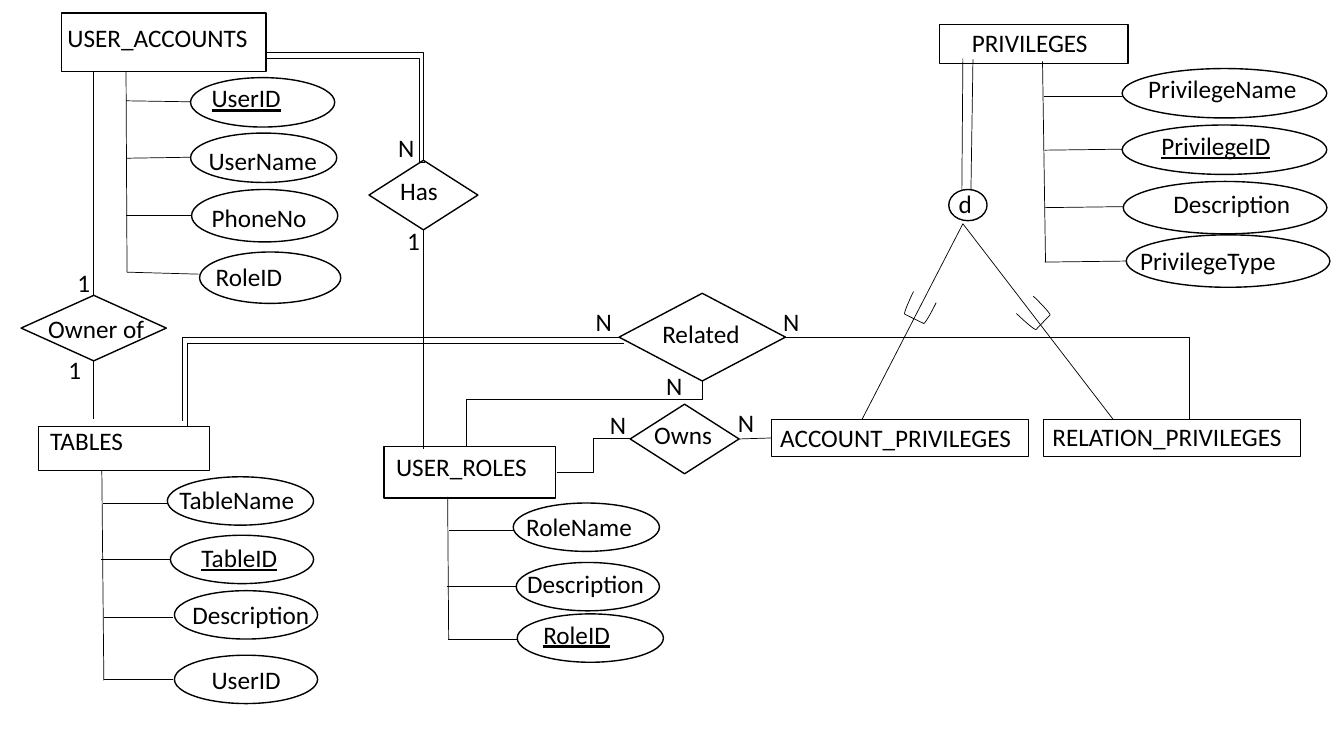
from dataclasses import dataclass
from lxml.etree import SubElement
from pptx import Presentation
from pptx.dml.color import RGBColor
from pptx.enum.shapes import MSO_CONNECTOR as Connector, MSO_SHAPE as Preset
from pptx.enum.text import MSO_AUTO_SIZE as AutoSize
from pptx.oxml.ns import qn
from pptx.util import Inches, Pt


@dataclass(frozen=True)
class Theme:
    ink: RGBColor = RGBColor(0, 0, 0)
    paper: RGBColor = RGBColor(255, 255, 255)
    font: str = "Calibri"
    text_size: float = 18
    outline: float = 1
    thin: float = 0.5
    label_height: float = 0.4


class Diagram:
    def __init__(self, slide, theme):
        self.slide = slide
        self.theme = theme

    def stroke(self, item, width):
        item.line.color.rgb = self.theme.ink
        item.line.width = Pt(width)

    def node(self, preset, box):
        shape = self.slide.shapes.add_shape(preset, *map(Inches, box))
        shape.shadow.inherit = False
        shape.fill.solid()
        shape.fill.fore_color.rgb = self.theme.paper
        self.stroke(shape, self.theme.outline)
        return shape

    def bracket(self, box, rotation):
        shape = self.node(Preset.LEFT_BRACKET, box)
        shape.fill.background()
        shape.rotation = rotation
        self.stroke(shape, self.theme.thin)

    def label(self, text, left, top, width, underlined=False, wrap=True):
        box = map(Inches, (left, top, width, self.theme.label_height))
        frame = self.slide.shapes.add_textbox(*box).text_frame
        frame.word_wrap = wrap
        frame.auto_size = AutoSize.SHAPE_TO_FIT_TEXT
        frame.text = text
        font = frame.paragraphs[0].runs[0].font
        font.name = self.theme.font
        font.size = Pt(self.theme.text_size)
        font.color.rgb = self.theme.ink
        if underlined:
            font.underline = True

    def line(self, start, end, kind=Connector.STRAIGHT, begin=None, finish=None):
        connector = self.slide.shapes.add_connector(
            kind, *map(Inches, (*start, *end)))
        self.stroke(connector, self.theme.thin)
        SubElement(connector._element.spPr, qn("a:effectLst"))
        if begin:
            connector.begin_connect(*begin)
        if finish:
            connector.end_connect(*finish)
        return connector

    def elbow(self, start, end, bend=0.5, upright=False):
        if upright:
            middle_x, middle_y = [(a + b) / 2 for a, b in zip(start, end)]
            start, end = [(middle_x + y - middle_y, middle_y - x + middle_x)
                          for x, y in (start, end)]
        properties = self.line(start, end, Connector.ELBOW)._element.spPr
        if upright:
            properties.find(qn("a:xfrm")).set("rot", "5400000")
        guides = properties.find(qn("a:prstGeom")).find(qn("a:avLst"))
        SubElement(guides, qn("a:gd"), name="adj1", fmla=f"val {round(bend * 100000)}")

    def named_node(self, preset, box, text, label_place):
        shape = self.node(preset, box)
        self.label(text, *label_place)
        return shape

    def attributes(self, trunk, rows):
        self.line(*trunk)
        for text, box, label_place, stem_start, stem_end, is_key in rows:
            self.line(stem_start, stem_end)
            self.node(Preset.OVAL, box)
            self.label(text, *label_place, underlined=is_key)


ENTITIES = [
    ("USER_ACCOUNTS", (0.61, 0.13, 2.03, 0.58), (0.57, 0.17, 2.06)),
    ("TABLES", (0.38, 4.23, 1.7, 0.44), (0.4, 4.17, 1.7)),
    ("USER_ROLES", (3.81, 4.43, 1.7, 0.51), (3.83, 4.43, 1.58)),
    ("PRIVILEGES", (9.32, 0.24, 1.87, 0.39), (9.54, 0.22, 1.84)),
    ("ACCOUNT_PRIVILEGES", (7.65, 4.16, 2.55, 0.37), (7.64, 4.14, 2.6)),
    ("RELATION_PRIVILEGES", (10.35, 4.16, 2.55, 0.37), (10.34, 4.13, 2.6)),
]
RELATIONSHIPS = [
    ("Owner of", (0.21, 2.93, 1.44, 0.65), (0.38, 3.06, 1.16)),
    ("Has", (3.66, 1.59, 1.08, 0.69), (3.87, 1.69, 0.77)),
    ("Related", (6.14, 2.91, 1.65, 0.87), (6.47, 3.11, 1.08)),
    ("Owns", (6.25, 4.01, 1.08, 0.69), (6.39, 4.11, 0.77)),
]
ATTRIBUTES = [
    (((1.25, 0.71), (1.26, 2.7)), [
        ("UserID", (1.89, 0.77, 1.43, 0.49), (2, 0.77, 1.53), (1.25, 1), (1.89, 1.01), True),
        ("UserName", (1.89, 1.32, 1.45, 0.49), (1.97, 1.39, 1.33), (1.25, 1.57), (1.89, 1.56), False),
        ("PhoneNo", (1.9, 1.88, 1.45, 0.52), (2, 1.96, 1.18), (1.25, 2.14), (1.89, 2.14), False),
        ("RoleID", (1.98, 2.5, 1.4, 0.51), (2.04, 2.54, 1.35), (1.26, 2.7), (1.97, 2.72), False),
    ]),
    (((10.34, 0.61), (10.37, 2.6)), [
        ("PrivilegeName", (11.13, 0.68, 2.03, 0.49), (11.29, 0.68, 1.8), (10.35, 0.96), (11.13, 0.96), False),
        ("PrivilegeID", (11.13, 1.24, 2.03, 0.49), (11.42, 1.24, 1.95), (10.36, 1.49), (11.13, 1.48), True),
        ("Description", (11.14, 1.8, 2.02, 0.52), (11.54, 1.82, 1.92), (10.36, 2.06), (11.17, 2.05), False),
        ("PrivilegeType", (11.17, 2.33, 2.02, 0.52), (11.21, 2.38, 1.69), (10.36, 2.6), (11.18, 2.59), False),
    ]),
    (((1.01, 4.67), (1.03, 6.75)), [
        ("TableName", (1.66, 4.73, 1.45, 0.48), (1.68, 4.76, 1.54), (1.02, 4.99), (1.67, 4.99), False),
        ("TableID", (1.69, 5.31, 1.42, 0.48), (1.9, 5.33, 0.97), (1, 5.55), (1.69, 5.55), True),
        ("Description", (1.73, 5.86, 1.42, 0.48), (1.81, 5.9, 1.37), (1.03, 6.12), (1.72, 6.12), False),
        ("UserID", (1.73, 6.5, 1.42, 0.48), (2, 6.54, 0.92), (1.03, 6.74), (1.72, 6.74), False),
    ]),
    (((4.44, 4.93), (4.45, 6.34)), [
        ("RoleName", (5.09, 4.99, 1.45, 0.48), (5.12, 5.02, 1.31), (4.45, 5.26), (5.1, 5.26), False),
        ("Description", (5.12, 5.58, 1.42, 0.48), (5.13, 5.59, 1.56), (4.43, 5.82), (5.12, 5.82), False),
        ("RoleID", (5.13, 6.09, 1.45, 0.48), (5.29, 6.09, 1.31), (4.44, 6.34), (5.13, 6.34), True),
    ]),
]
ELBOWS = [
    ((2.64, 0.52), (4.2, 1.59), 1),
    ((2.65, 0.58), (4.22, 1.61), 0.96),
    ((6.14, 3.35), (1.81, 4.18), 1),
    ((6.19, 3.41), (1.86, 4.24), 1),
    ((7.79, 3.35), (11.05, 4.16), 1.23),
    ((5.52, 4.69), (6.25, 4.35), 0.5),
]
SPECIALIZATION_LINES = [
    ((9.65, 0.59), (9.63, 1.89)),
    ((9.55, 0.58), (9.54, 1.89)),
    ((8.55, 4.16), (9.55, 2.22)),
    ((9.55, 2.22), (11.04, 4.16)),
]
CARDINALITIES = [
    ("N", 3.85, 1.26, 0.36), ("1", 3.94, 2.19, 0.33), ("1", 0.67, 2.6, 0.33),
    ("1", 0.58, 3.47, 0.33), ("N", 5.81, 2.99, 0.36), ("N", 7.67, 2.99, 0.34),
    ("N", 7.22, 3.99, 0.36), ("N", 5.95, 4.01, 0.36), ("N", 6.51, 3.62, 0.3),
]
TOP, LEFT, BOTTOM, RIGHT = range(4)


def main():
    presentation = Presentation()
    presentation.slide_width = Inches(13.33)
    presentation.slide_height = Inches(7.5)
    slide = presentation.slides.add_slide(presentation.slide_layouts[6])
    diagram = Diagram(slide, Theme())

    nodes = {}
    for preset, group in ((Preset.RECTANGLE, ENTITIES), (Preset.DIAMOND, RELATIONSHIPS)):
        for name, box, label_place in group:
            nodes[name] = diagram.named_node(preset, box, name, label_place)
    for trunk, rows in ATTRIBUTES:
        diagram.attributes(trunk, rows)

    owner, owns = nodes["Owner of"], nodes["Owns"]
    diagram.line((0.93, 2.93), (0.93, 0.71), begin=(owner, TOP))
    diagram.line((0.93, 3.58), (0.93, 4.16), begin=(owner, BOTTOM))
    diagram.line((4.2, 2.28), (4.2, 4.45), begin=(nodes["Has"], BOTTOM))
    diagram.line((7.33, 4.35), (7.65, 4.35), begin=(owns, RIGHT),
                 finish=(nodes["ACCOUNT_PRIVILEGES"], LEFT))
    for start, end, bend in ELBOWS:
        diagram.elbow(start, end, bend)
    diagram.elbow((4.62, 4.43), (6.97, 3.78), 0.72, upright=True)

    diagram.named_node(Preset.FLOWCHART_CONNECTOR, (9.41, 1.88, 0.38, 0.31),
                       "d", (9.41, 1.82, 0.27))
    for start, end in SPECIALIZATION_LINES:
        diagram.line(start, end)
    diagram.bracket((9, 2.93, 0.24, 0.25), 296.1)
    diagram.bracket((10.13, 2.99, 0.25, 0.24), 223.9)
    for text, left, top, width in CARDINALITIES:
        diagram.label(text, left, top, width, wrap=False)

    presentation.save("out.pptx")


if __name__ == "__main__":
    main()
